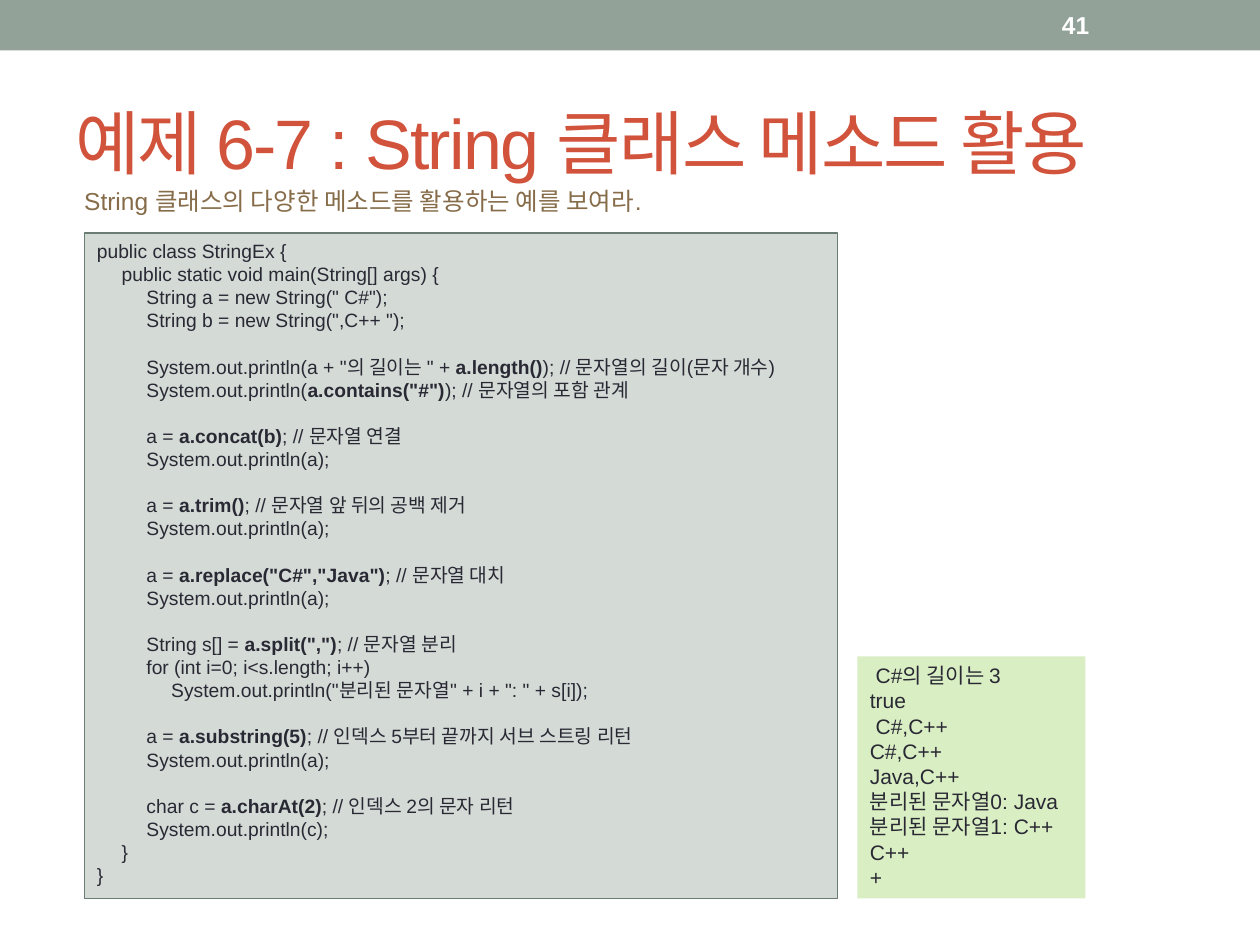
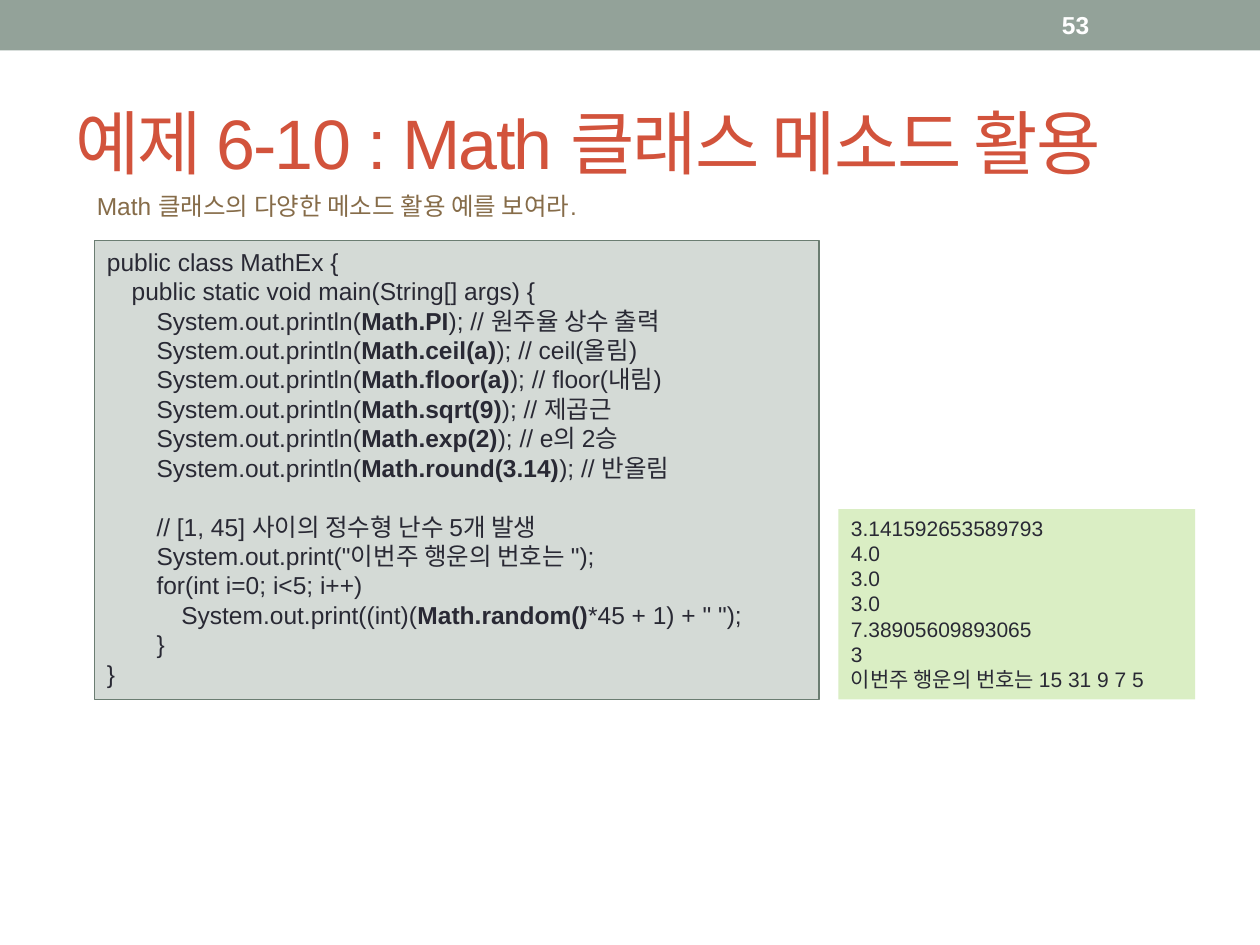
import pptx
import pptx.dml.color
import pptx.enum.shapes
import pptx.enum.text
import pptx.oxml
import pptx.oxml.ns
import pptx.util

# The grid has square cells: 100 columns by 75 rows.
CELL = pptx.util.Inches(0.1)
COLUMNS, ROWS = 100, 75
FONT = "Arial"
BAND, TITLE, SUBTITLE, INK = "93A299", "D2533C", "866C49", "292934"
CODE_FILL, CODE_LINE, OUTPUT_FILL, WHITE = "D4DAD6", "6B7D72", "DAEEC4", "FFFFFF"
TAB_STEP = pptx.util.Mm(5)
GUTTER = 1.55

# In code, | marks where bold starts and ends, and four spaces are one level.
STRING_CODE = [
    'public class StringEx {',
    '    public static void main(String[] args) {',
    '        String a = new String(" C#");',
    '        String b = new String(",C++ ");',
    '',
    '        System.out.println(a + "의 길이는 " + |a.length()|); // 문자열의 길이(문자 개수)',
    '        System.out.println(|a.contains("#")|); // 문자열의 포함 관계',
    '',
    '        a = |a.concat(b)|; // 문자열 연결',
    '        System.out.println(a);',
    '',
    '        a = |a.trim()|; // 문자열 앞 뒤의 공백 제거',
    '        System.out.println(a);',
    '',
    '        a = |a.replace("C#","Java")|; // 문자열 대치',
    '        System.out.println(a);',
    '',
    '        String s[] = |a.split(",")|; // 문자열 분리',
    '        for (int i=0; i<s.length; i++)',
    '            System.out.println("분리된 문자열" + i + ": " + s[i]);',
    '',
    '        a = |a.substring(5)|; // 인덱스 5부터 끝까지 서브 스트링 리턴',
    '        System.out.println(a);',
    '',
    '        char c = |a.charAt(2)|; // 인덱스 2의 문자 리턴',
    '        System.out.println(c);',
    '    }',
    '}',
]
STRING_OUTPUT = [
    ' C#의 길이는 3', 'true', ' C#,C++', 'C#,C++', 'Java,C++',
    '분리된 문자열0: Java', '분리된 문자열1: C++', 'C++', '+',
]
MATH_CODE = [
    'public class MathEx {',
    '    public static void main(String[] args) {',
    '        System.out.println(|Math.PI|); // 원주율 상수 출력',
    '        System.out.println(|Math.ceil(a)|); // ceil(올림)',
    '        System.out.println(|Math.floor(a)|); // floor(내림)',
    '        System.out.println(|Math.sqrt(9)|); // 제곱근',
    '        System.out.println(|Math.exp(2)|); // e의 2승',
    '        System.out.println(|Math.round(3.14)|); // 반올림',
    '',
    '        // [1, 45] 사이의 정수형 난수 5개 발생',
    '        System.out.print("이번주 행운의 번호는 ");',
    '        for(int i=0; i<5; i++)',
    '            System.out.print((int)(|Math.random()|*45 + 1) + " ");',
    '        }',
    '}',
]
MATH_OUTPUT = [
    '3.141592653589793', '4.0', '3.0', '3.0', '7.38905609893065', '3',
    '이번주 행운의 번호는 15 31 9 7 5',
]


def rgb(color):
    return pptx.dml.color.RGBColor.from_string(color)


def to_lengths(box):
    """Turn left, top, width and height in grid cells into slide lengths."""
    return [round(cells * CELL) for cells in box]


def style_font(font, size, color, bold=False):
    font.name = FONT
    font.size = pptx.util.Pt(size)
    font.bold = bold
    font.color.rgb = rgb(color)


def add_panel(page, box, fill, line=None):
    panel = page.shapes.add_shape(
        pptx.enum.shapes.MSO_SHAPE.RECTANGLE, *to_lengths(box))
    panel.shadow.inherit = False
    panel.fill.solid()
    panel.fill.fore_color.rgb = rgb(fill)
    if line:
        panel.line.color.rgb = rgb(line)
        panel.line.width = pptx.util.Pt(0.75)
    else:
        panel.line.fill.background()
    return panel


def add_label(page, box, text, size, color, bold=False, middle=False):
    """Add one line of text and return its run."""
    frame = page.shapes.add_textbox(*to_lengths(box)).text_frame
    frame.word_wrap = True
    if middle:
        frame.vertical_anchor = pptx.enum.text.MSO_ANCHOR.MIDDLE
    frame.text = text
    span = frame.paragraphs[0].runs[0]
    style_font(span.font, size, color, bold)
    return span


def add_tab_stops(para, levels=3):
    tab_list = pptx.oxml.parse_xml(
        f'<a:tabLst {pptx.oxml.ns.nsdecls("a")}/>')
    for level in range(1, levels + 1):
        tab_list.append(pptx.oxml.parse_xml(
            f'<a:tab {pptx.oxml.ns.nsdecls("a")} '
            f'pos="{level * TAB_STEP}" algn="l"/>'))
    para._p.get_or_add_pPr().append(tab_list)


def fill_listing(panel, lines, size):
    """Write the lines of a listing, with their bold parts and tab stops."""
    frame = panel.text_frame
    frame.word_wrap = True
    frame.vertical_anchor = pptx.enum.text.MSO_ANCHOR.TOP
    for number, line in enumerate(lines):
        para = frame.add_paragraph() if number else frame.paragraphs[0]
        para.alignment = pptx.enum.text.PP_ALIGN.LEFT
        if not line:
            para._p.append(pptx.oxml.parse_xml(
                f'<a:endParaRPr {pptx.oxml.ns.nsdecls("a")} sz="{size * 100}">'
                f'<a:latin typeface="{FONT}"/></a:endParaRPr>'))
            continue
        add_tab_stops(para)
        for part, text in enumerate(line.replace("    ", "\t").split("|")):
            span = para.add_run()
            span.text = text
            style_font(span.font, size, INK, bold=part % 2 == 1)


def add_frame(page, title, number):
    """Add the band, page number and title that every slide has."""
    add_panel(page, (0, 0, COLUMNS, 4), BAND)
    add_label(page, (83.3, 0.2, 11.7, 3.6), number, 14, WHITE,
              bold=True, middle=True)
    span = add_label(page, (5, 5.8, 90, 10.8), title, 40, TITLE, middle=True)
    span.font._element.set("spc", "-100")


def add_listings(page, box, code, code_size, output, output_size):
    """Add the code in its box, and the output beside it on the same base."""
    left, top, width, height = box
    output_width, output_height = output_size
    fill_listing(add_panel(page, box, CODE_FILL, CODE_LINE), code, code_size)
    output_box = (left + width + GUTTER, top + height - output_height,
                  output_width, output_height)
    fill_listing(add_panel(page, output_box, OUTPUT_FILL), output, 12)


def add_example(deck, number, title, subtitle, subtitle_box, **listings):
    page = deck.slides.add_slide(deck.slide_layouts[6])
    add_frame(page, title, number)
    add_label(page, subtitle_box, subtitle, 14, SUBTITLE)
    add_listings(page, **listings)


def main():
    deck = pptx.Presentation()
    deck.slide_width, deck.slide_height = COLUMNS * CELL, ROWS * CELL
    add_example(
        deck, "41", "예제 6-7 : String 클래스 메소드 활용",
        "String 클래스의 다양한 메소드를 활용하는 예를 보여라.",
        (5.7, 14.3, 51, 3.4),
        box=(6.7, 18.5, 59.8, 52.8), code=STRING_CODE, code_size=11,
        output=STRING_OUTPUT, output_size=(18.1, 19.2))
    add_example(
        deck, "53", "예제 6-10 : Math 클래스 메소드 활용",
        "Math 클래스의 다양한 메소드 활용 예를 보여라.",
        (6.7, 14.7, 44.6, 3.4),
        box=(7.5, 19.1, 57.5, 36.4), code=MATH_CODE, code_size=14,
        output=MATH_OUTPUT, output_size=(28.3, 15.1))
    deck.save("out.pptx")


if __name__ == "__main__":
    main()
